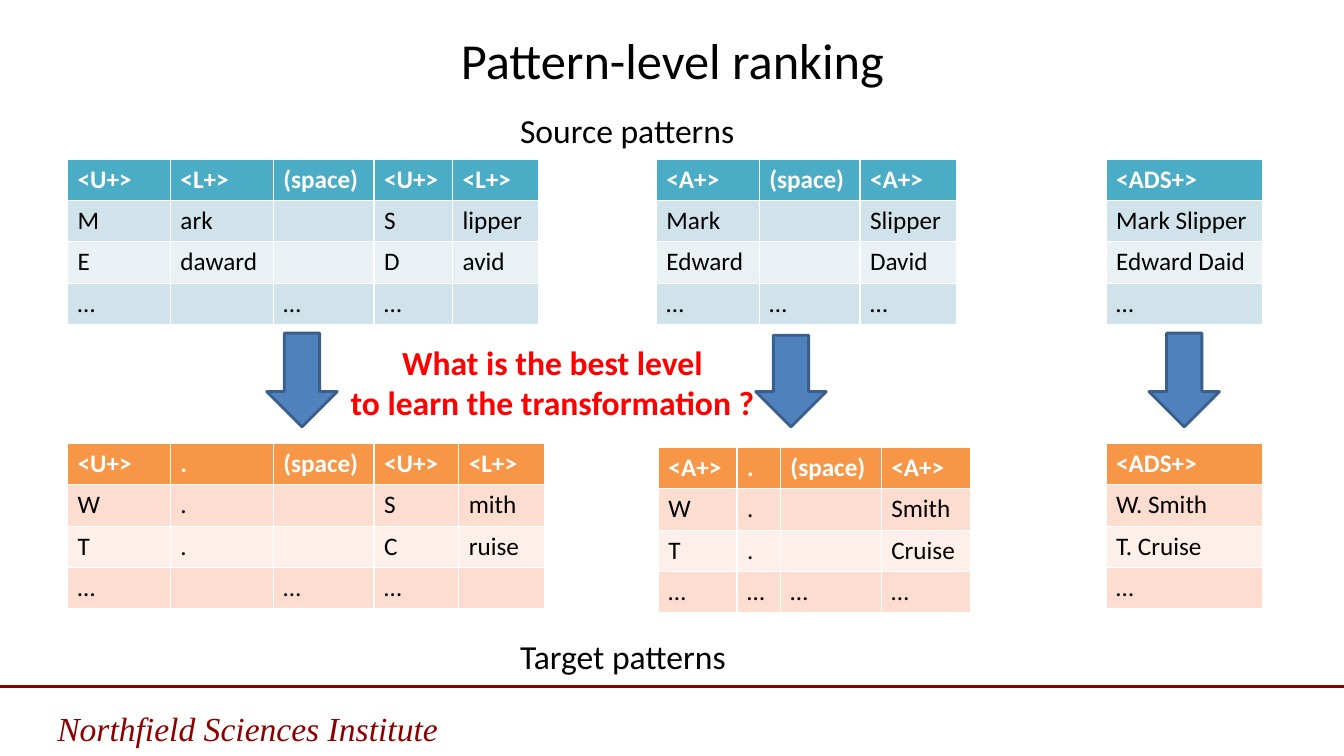
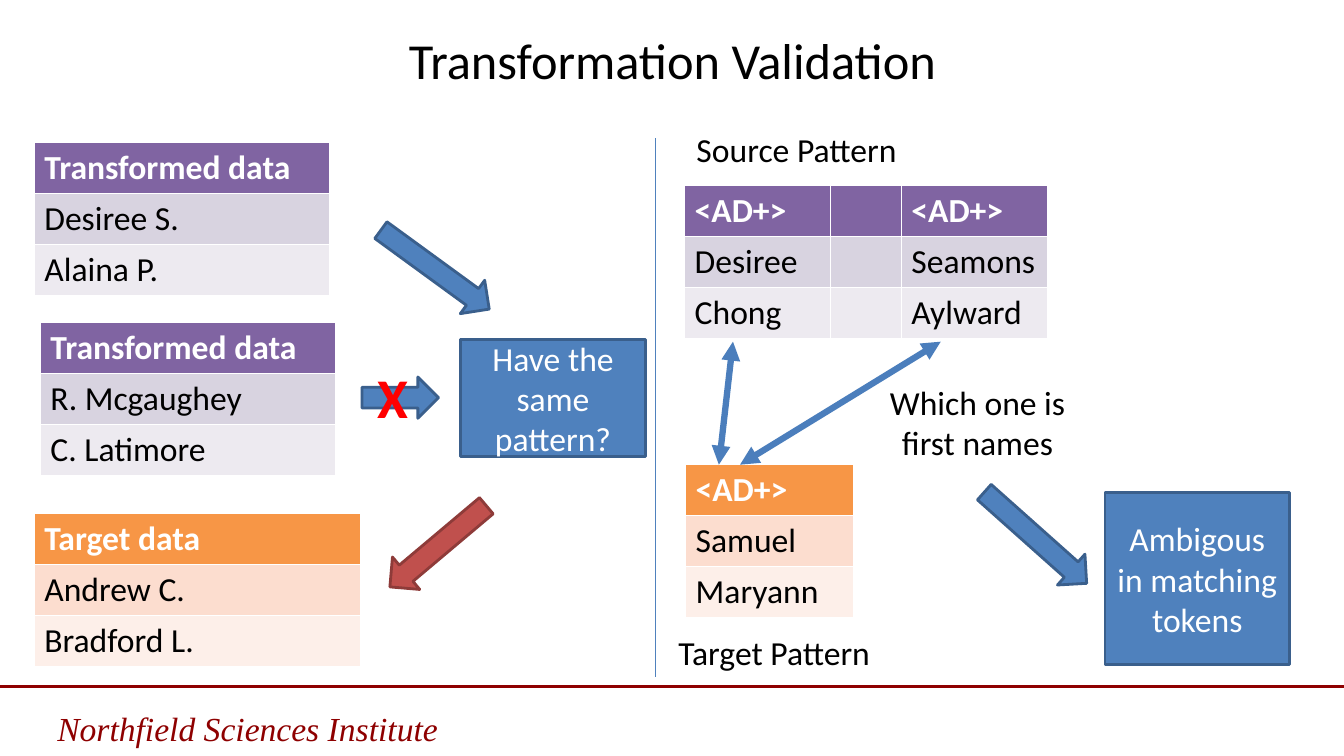
from lxml import etree
from pptx import Presentation
from pptx import util as u
from pptx.dml.color import RGBColor
from pptx.enum import shapes, text
from pptx.oxml import ns

WIDE, HIGH = 13.33, 7.5
FACE = "Calibri"
BLACK, WHITE, RED, MAROON = "000000", "FFFFFF", "FF0000", "8E0000"
BLUE, NAVY, EDGE = "4F81BD", "3A5F8C", "4B7EBC"
BRICK, RUST = "C0504D", "8E3B39"
TEAL = ("4BACC6", "D0E3EA", "E9F1F5")
ORANGE = ("F79646", "FCDDCF", "FDEFE9")
PURPLE = ("8064A2", "D8D3E0", "EDEAF0")
FOOTER = "Northfield Sciences Institute"

RANKING = dict(
    title="Pattern-level ranking",
    size=18,
    row=0.41,
    tables=[
        (0.67, 1.58, TEAL, [1.02, 1.02, 1, 0.78, 0.85], [
            ["<U+>", "<L+>", "(space)", "<U+>", "<L+>"],
            ["M", "ark", "", "S", "lipper"],
            ["E", "daward", "", "D", "avid"],
            ["…", "", "…", "…", ""]]),
        (6.51, 1.58, TEAL, [1.02, 1, 0.96], [
            ["<A+>", "(space)", "<A+>"],
            ["Mark", "", "Slipper"],
            ["Edward", "", "David"],
            ["…", "…", "…"]]),
        (10.97, 1.58, TEAL, [1.55], [
            ["<ADS+>"], ["Mark Slipper"], ["Edward Daid"], ["…"]]),
        (0.67, 4.4, ORANGE, [1.02, 1.02, 1, 0.84, 0.85], [
            ["<U+>", ".", "(space)", "<U+>", "<L+>"],
            ["W", ".", "", "S", "mith"],
            ["T", ".", "", "C", "ruise"],
            ["…", "", "…", "…", ""]]),
        (6.53, 4.44, ORANGE, [0.78, 0.43, 1, 0.89], [
            ["<A+>", ".", "(space)", "<A+>"],
            ["W", ".", "", "Smith"],
            ["T", ".", "", "Cruise"],
            ["…", "…", "…", "…"]]),
        (10.97, 4.4, ORANGE, [1.55], [
            ["<ADS+>"], ["W. Smith"], ["T. Cruise"], ["…"]]),
    ],
    arrows=[
        ((2.53, 3.42, 0.93, 0.7), 90, BLUE, NAVY),
        ((7.39, 3.43, 0.91, 0.7), 90, BLUE, NAVY),
        ((11.28, 3.42, 0.93, 0.7), 90, BLUE, NAVY),
    ],
    boxes=[],
    lines=[],
    labels=[
        ((5.06, 1.04, 2.33, 0.5), ["Source patterns"], {}),
        ((5.06, 6.26, 2.33, 0.5), ["Target patterns"], {}),
        ((3.35, 3.34, 4.26, 0.91),
         ["What is the best level", "to learn the transformation ?"],
         dict(color=RED, bold=True, center=True)),
    ],
)

CHECKING = dict(
    title="Transformation Validation",
    size=24,
    row=0.5,
    tables=[
        (0.34, 1.41, PURPLE, [2.93],
         [["Transformed data"], ["Desiree S."], ["Alaina P."]]),
        (0.4, 3.2, PURPLE, [2.93],
         [["Transformed data"], ["R. Mcgaughey"], ["C. Latimore"]]),
        (0.34, 5.09, ORANGE, [3.24],
         [["Target data"], ["Andrew C."], ["Bradford L."]]),
        (6.79, 1.84, PURPLE, [1.45, 0.7, 1.45], [
            ["<AD+>", "", "<AD+>"],
            ["Desiree", "", "Seamons"],
            ["Chong", "", "Aylward"]]),
        (6.8, 4.61, ORANGE, [1.67], [["<AD+>"], ["Samuel"], ["Maryann"]]),
    ],
    arrows=[
        ((3.65, 2.47, 1.33, 0.41), 36.1, BLUE, NAVY),
        ((3.59, 3.74, 0.76, 0.41), 0, BLUE, NAVY),
        ((3.72, 5.21, 1.25, 0.42), 139.9, BRICK, RUST),
        ((9.59, 5.13, 1.36, 0.41), 41.7, BLUE, NAVY),
    ],
    boxes=[
        ((4.57, 3.37, 1.83, 1.16), "Have the same pattern?"),
        ((10.96, 4.89, 1.83, 1.7), "Ambigous in matching tokens"),
    ],
    lines=[
        ((6.5, 1.37, 6.5, 6.72), BLUE, 0.75, False),
        ((7.27, 3.39, 7.13, 4.61), EDGE, 4.5, True),
        ((9.33, 3.39, 7.34, 4.61), EDGE, 4.5, True),
    ],
    labels=[
        ((6.81, 1.23, 2.33, 0.5), ["Source Pattern"], {}),
        ((6.63, 6.22, 2.52, 0.5), ["Target Pattern"], {}),
        ((8.67, 3.74, 2.05, 0.91), ["Which one is", "first names"],
         dict(center=True)),
        ((3.65, 3.55, 0.71, 0.77), ["X"],
         dict(size=40, color=RED, bold=True)),
    ],
)


def rgb(code):
    return RGBColor.from_string(code)


def inches(spots):
    return [u.Inches(spot) for spot in spots]


def paint(shape, code):
    shape.fill.solid()
    shape.fill.fore_color.rgb = rgb(code)


def write(frame, rows, size=24, color=BLACK, bold=False, italic=False,
          center=False, face=FACE):
    frame.text = "\n".join(rows)
    for para in frame.paragraphs:
        para.alignment = text.PP_ALIGN.CENTER if center else text.PP_ALIGN.LEFT
        font = para.font
        font.name, font.size = face, u.Pt(size)
        font.bold, font.italic = bold, italic
        font.color.rgb = rgb(color)


def label(slide, place, rows, style):
    box = slide.shapes.add_textbox(*inches(place))
    box.text_frame.word_wrap = True
    box.text_frame.auto_size = text.MSO_AUTO_SIZE.SHAPE_TO_FIT_TEXT
    write(box.text_frame, rows, **style)
    return box


def line(slide, ends, color, width, heads=False):
    link = slide.shapes.add_connector(
        shapes.MSO_CONNECTOR.STRAIGHT, *inches(ends))
    link.line.color.rgb = rgb(color)
    link.line.width = u.Pt(width)
    if heads:
        for tag in ("a:headEnd", "a:tailEnd"):
            etree.SubElement(link.get_or_add_ln(), ns.qn(tag), type="triangle")
    etree.SubElement(link.element.spPr, ns.qn("a:effectLst"))
    return link


def block(slide, kind, place, fill, edge, turn=0):
    shape = slide.shapes.add_shape(kind, *inches(place))
    shape.shadow.inherit = False
    shape.rotation = turn
    paint(shape, fill)
    shape.line.color.rgb = rgb(edge)
    shape.line.width = u.Pt(2)
    return shape


def table(slide, left, top, shades, cols, rows, size, high):
    place = inches((left, top, sum(cols), high * len(rows)))
    grid = slide.shapes.add_table(len(rows), len(cols), *place).table
    for col, wide in zip(grid.columns, cols):
        col.width = u.Inches(wide)
    for i, words in enumerate(rows):
        grid.rows[i].height = u.Inches(high)
        head = i == 0
        shade = shades[0] if head else shades[2 - i % 2]
        for j, word in enumerate(words):
            cell = grid.cell(i, j)
            paint(cell, shade)
            if word:
                write(cell.text_frame, [word], size,
                      WHITE if head else BLACK, bold=head)


def brand(layout, slide):
    title = layout.placeholders[0]
    title.left, title.top, title.width, title.height = inches(
        (0.67, 0.24, 12, 0.7))
    rule = line(slide, (0, 6.81, WIDE, 6.81), MAROON, 2.25)
    name = label(slide, (0.47, 6.97, 6.57, 0.51), [FOOTER],
                 dict(color=MAROON, italic=True, face="Times New Roman"))
    for part in (rule, name):
        layout.shapes.element.append(part.element)


def fill(slide, data):
    title = slide.shapes.title.text_frame
    write(title, [data["title"]], 36, center=True)
    title.vertical_anchor = text.MSO_ANCHOR.MIDDLE
    for item in data["tables"]:
        table(slide, *item, data["size"], data["row"])
    for place, turn, color, edge in data["arrows"]:
        block(slide, shapes.MSO_SHAPE.RIGHT_ARROW, place, color, edge, turn)
    for place, words in data["boxes"]:
        box = block(slide, shapes.MSO_SHAPE.RECTANGLE, place, BLUE, NAVY)
        box.text_frame.word_wrap = True
        box.text_frame.vertical_anchor = text.MSO_ANCHOR.MIDDLE
        write(box.text_frame, [words], color=WHITE, center=True)
    for item in data["lines"]:
        line(slide, *item)
    for item in data["labels"]:
        label(slide, *item)


def main():
    deck = Presentation()
    deck.slide_width, deck.slide_height = inches((WIDE, HIGH))
    layout = deck.slide_layouts[5]
    pages = [(deck.slides.add_slide(layout), data)
             for data in (RANKING, CHECKING)]
    brand(layout, pages[0][0])
    for slide, data in pages:
        fill(slide, data)
    deck.save("out.pptx")


if __name__ == "__main__":
    main()
